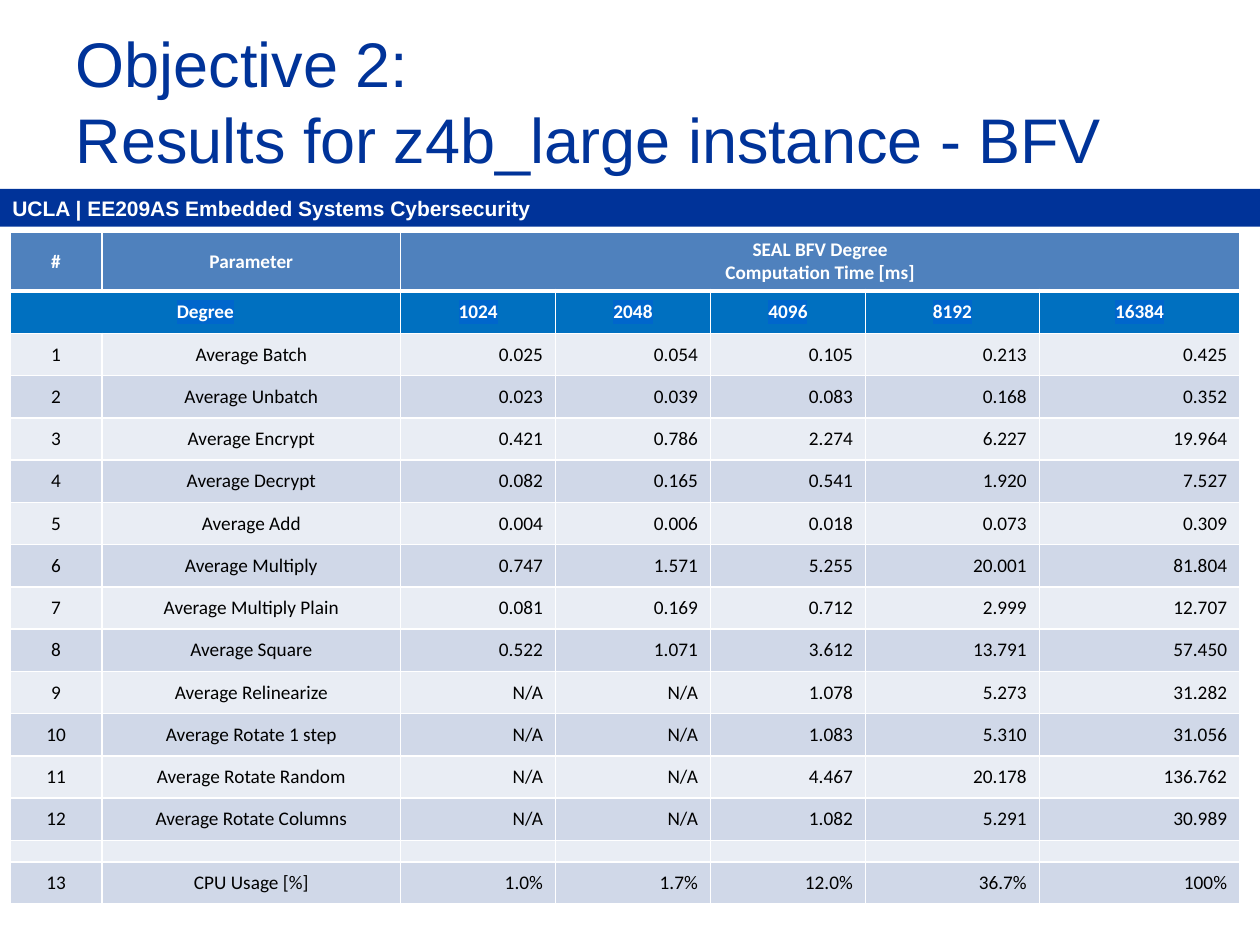
"""Build the slide of BFV computation times per polynomial degree."""
from typing import NamedTuple

from lxml.etree import SubElement
from pptx import Presentation
from pptx.dml.color import RGBColor
from pptx.enum.shapes import MSO_SHAPE as Shape
from pptx.enum.text import MSO_ANCHOR as Anchor, MSO_AUTO_SIZE as AutoSize, PP_ALIGN as Align
from pptx.oxml import parse_xml
from pptx.oxml.ns import nsdecls, qn
from pptx.util import Inches, Pt

NAVY, WHITE, BLACK = "003399", "FFFFFF", "000000"
HEADER, DEGREE, HIGHLIGHT = "4F81BD", "0070C0", "0066CC"
BANDS = ("E9EDF4", "D0D8E8")
WIDTHS = (0.73, 2.37, 1.23, 1.23, 1.23, 1.38, 1.59)
TABLE_HEIGHT, HEADER_HEIGHT, GAP_HEIGHT = 5.34, 0.47, 0.17


class Row(NamedTuple):
    number: str
    parameter: str
    values: str


HEADINGS = ("#", "Parameter", "SEAL BFV Degree\nComputation Time [ms]")
DEGREES = Row("Degree", "", "1024 2048 4096 8192 16384")
RESULTS = (
    Row("1", "Average Batch", "0.025 0.054 0.105 0.213 0.425"),
    Row("2", "Average Unbatch", "0.023 0.039 0.083 0.168 0.352"),
    Row("3", "Average Encrypt", "0.421 0.786 2.274 6.227 19.964"),
    Row("4", "Average Decrypt", "0.082 0.165 0.541 1.920 7.527"),
    Row("5", "Average Add", "0.004 0.006 0.018 0.073 0.309"),
    Row("6", "Average Multiply", "0.747 1.571 5.255 20.001 81.804"),
    Row("7", "Average Multiply Plain", "0.081 0.169 0.712 2.999 12.707"),
    Row("8", "Average Square", "0.522 1.071 3.612 13.791 57.450"),
    Row("9", "Average Relinearize", "N/A N/A 1.078 5.273 31.282"),
    Row("10", "Average Rotate 1 step", "N/A N/A 1.083 5.310 31.056"),
    Row("11", "Average Rotate Random", "N/A N/A 4.467 20.178 136.762"),
    Row("12", "Average Rotate Columns", "N/A N/A 1.082 5.291 30.989"),
    Row("", "", ""),
    Row("13", "CPU Usage [%]", "1.0% 1.7% 12.0% 36.7% 100%"),
)


def color(value: str) -> RGBColor:
    return RGBColor.from_string(value)


def paint(fill, value: str) -> None:
    fill.solid()
    fill.fore_color.rgb = color(value)


def write(frame, text: str, *, size: float, font: str, fill: str, bold: bool = False,
          align=Align.LEFT, highlight: str = "") -> None:
    frame.text = text
    for paragraph in frame.paragraphs:
        paragraph.alignment = align
        for run in paragraph.runs:
            run.font.size, run.font.name, run.font.bold = Pt(size), font, bold
            run.font.color.rgb = color(fill)
            if highlight:
                run._r.rPr.find(qn("a:solidFill")).addnext(parse_xml(
                    f'<a:highlight {nsdecls("a")}><a:srgbClr val="{highlight}"/></a:highlight>'))
        if not paragraph.runs:
            SubElement(paragraph._p, qn("a:endParaRPr"), sz=str(int(size * 100)))


def add_borders(cell, top: float = 1, bottom: float = 1) -> None:
    properties = cell._tc.get_or_add_tcPr()
    widths = {"L": 1, "R": 1, "T": top, "B": bottom}
    for position, (side, width) in enumerate(widths.items()):
        properties.insert(position, parse_xml(
            f'<a:ln{side} {nsdecls("a")} w="{Pt(width)}"><a:solidFill>'
            f'<a:srgbClr val="{WHITE}"/></a:solidFill></a:ln{side}>'))


def style_cell(cell, text: str, *, background: str, top: float = 1, bottom: float = 1,
               size: float = 11, **style) -> None:
    cell.margin_top = cell.margin_bottom = 0
    cell.vertical_anchor = Anchor.MIDDLE
    paint(cell.fill, background)
    add_borders(cell, top, bottom)
    write(cell.text_frame, text, size=size, font="Calibri", **style)


def add_title(slide, text: str) -> None:
    title = slide.shapes.title
    title.left, title.top, title.width, title.height = map(Inches, (0.5, 0.17, 9, 1.25))
    title.text_frame.auto_size = AutoSize.NONE
    title.text_frame.vertical_anchor = Anchor.MIDDLE
    write(title.text_frame, text, size=36, font="Arial", fill=NAVY)


def add_course_band(slide, text: str) -> None:
    band = slide.shapes.add_shape(Shape.RECTANGLE, *map(Inches, (0, 1.5, 10, 0.3)))
    band.shadow.inherit = False
    paint(band.fill, NAVY)
    band.line.fill.background()
    band.text_frame.vertical_anchor = Anchor.MIDDLE
    write(band.text_frame, text, size=12, font="Arial", fill=WHITE, bold=True)


def add_results_table(slide) -> None:
    row_count = len(RESULTS) + 2
    table = slide.shapes.add_table(row_count, len(WIDTHS), Inches(0.08), Inches(1.84),
                                   Inches(sum(WIDTHS)), Inches(TABLE_HEIGHT)).table
    for column, width in zip(table.columns, WIDTHS):
        column.width = Inches(width)
    row_height = (TABLE_HEIGHT - HEADER_HEIGHT - GAP_HEIGHT) / (row_count - 2)
    for row in table.rows:
        row.height = Inches(row_height)
    table.rows[0].height = Inches(HEADER_HEIGHT)

    heading_style = dict(fill=WHITE, bold=True, align=Align.CENTER)
    headings = HEADINGS + ("",) * (len(WIDTHS) - len(HEADINGS))
    for index, text in enumerate(headings):
        style_cell(table.cell(0, index), text, background=HEADER, bottom=3, **heading_style)
    for index, text in enumerate((*DEGREES[:2], *DEGREES.values.split())):
        style_cell(table.cell(1, index), text, background=DEGREE, top=3,
                   highlight=HIGHLIGHT, **heading_style)
    table.cell(0, 2).merge(table.cell(0, len(WIDTHS) - 1))
    table.cell(1, 0).merge(table.cell(1, 1))

    for offset, result in enumerate(RESULTS):
        values = result.values.split() or [""] * (len(WIDTHS) - 2)
        if not result.number:
            table.rows[offset + 2].height = Inches(GAP_HEIGHT)
        for index, text in enumerate((result.number, result.parameter, *values)):
            style_cell(table.cell(offset + 2, index), text, background=BANDS[offset % 2],
                       size=11 if text else 6, fill=BLACK,
                       align=Align.CENTER if index < 2 else Align.RIGHT)


def main() -> None:
    presentation = Presentation()
    presentation.slide_width, presentation.slide_height = Inches(10), Inches(7.5)
    slide = presentation.slides.add_slide(presentation.slide_layouts[5])
    add_course_band(slide, "UCLA | EE209AS Embedded Systems Cybersecurity")
    add_title(slide, "Objective 2:\vResults for z4b_large instance - BFV")
    add_results_table(slide)
    presentation.save("out.pptx")


if __name__ == "__main__":
    main()
